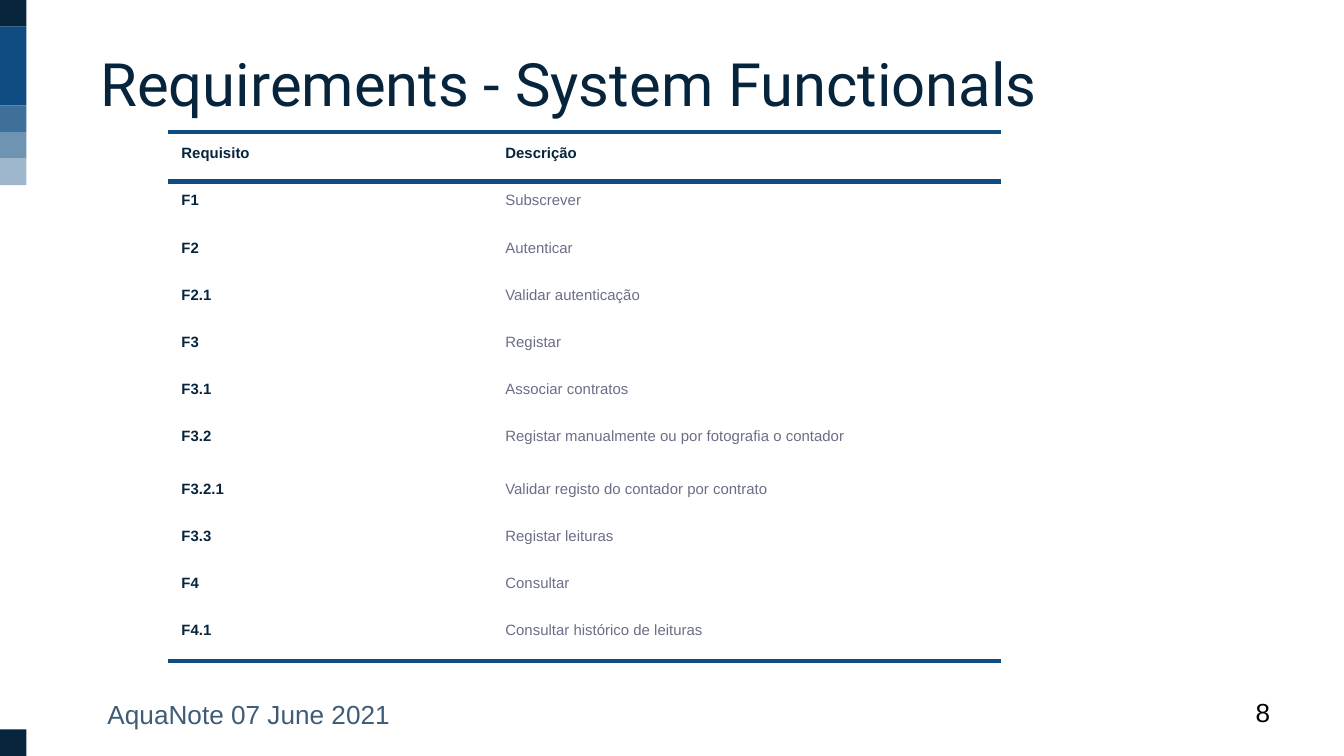
from lxml import etree
from pptx import Presentation
from pptx import util as u
from pptx.dml.color import RGBColor
from pptx.enum import shapes, text
from pptx.oxml.ns import qn

WIDTH = u.Inches(10)
HEIGHT = WIDTH * 9 // 16
UNIT = HEIGHT * 0.035  # side of a square in the left band

NAVY = RGBColor(0x07, 0x24, 0x3D)
BLUE = RGBColor(0x0F, 0x4C, 0x81)
STEEL = RGBColor(0x3F, 0x70, 0x9A)
MIST = RGBColor(0x6F, 0x94, 0xB3)
PALE = RGBColor(0x9F, 0xB7, 0xCD)
SLATE = RGBColor(0x3E, 0x5C, 0x78)
GREY = RGBColor(0x6A, 0x6E, 0x85)
BLACK = RGBColor(0, 0, 0)

# Colour, first row and row count in the left band
BAND = [(BLUE, 1, 3), (STEEL, 4, 1), (MIST, 5, 1), (PALE, 6, 1), (NAVY, 0, 1)]

LEFT, TOP = u.Inches(1.25), u.Inches(0.98)
COLS = [u.Inches(2.41), u.Inches(3.79)]
HIGH, TALL = u.Inches(3.9), u.Inches(0.39)
TALL_ROW = 6
RULES = [4.92, 1.35, 0.98]

ITEMS = [
    ("Requisito", "Descrição"),
    ("F1", "Subscrever"),
    ("F2", "Autenticar"),
    ("F2.1", "Validar autenticação"),
    ("F3", "Registar"),
    ("F3.1", "Associar contratos"),
    ("F3.2", "Registar manualmente ou por fotografia o contador"),
    ("F3.2.1", "Validar registo do contador por contrato"),
    ("F3.3", "Registar leituras"),
    ("F4", "Consultar"),
    ("F4.1", "Consultar histórico de leituras"),
]


def write(frame, words, size=14, color=BLACK, font="Arial", bold=False,
          align=text.PP_ALIGN.LEFT):
    para = frame.paragraphs[0]
    para.alignment = align
    run = para.add_run()
    run.text = words
    run.font.name = font
    run.font.size = u.Pt(size)
    run.font.bold = bold
    run.font.color.rgb = color


def pad(part, inset):
    """Set the same margin on all sides of a text frame or cell."""
    part.margin_left = part.margin_right = u.Inches(inset)
    part.margin_top = part.margin_bottom = u.Inches(inset)


def add_text(slide, box, words, inset=0.05, anchor=text.MSO_ANCHOR.TOP, **form):
    frame = slide.shapes.add_textbox(*map(u.Inches, box)).text_frame
    frame.word_wrap = True
    frame.vertical_anchor = anchor
    pad(frame, inset)
    write(frame, words, **form)


def add_block(slide, color, top, rows=1):
    block = slide.shapes.add_shape(shapes.MSO_SHAPE.RECTANGLE, 0, round(top),
                                   round(UNIT), round(rows * UNIT))
    block.shadow.inherit = False
    block.fill.solid()
    block.fill.fore_color.rgb = color
    block.line.fill.background()


def add_rule(slide, y):
    rule = slide.shapes.add_connector(shapes.MSO_CONNECTOR.STRAIGHT, LEFT,
                                      u.Inches(y), LEFT + sum(COLS), u.Inches(y))
    rule.line.color.rgb = BLUE
    rule.line.width = u.Pt(2.25)
    etree.SubElement(rule._element.spPr, qn("a:effectLst"))


def add_grid(slide):
    short = (HIGH - TALL) // (len(ITEMS) - 1)
    grid = slide.shapes.add_table(len(ITEMS), len(COLS), LEFT, TOP,
                                  sum(COLS), HIGH).table
    grid.first_row = grid.horz_banding = False
    for col, wide in zip(grid.columns, COLS):
        col.width = wide
    for r, item in enumerate(ITEMS):
        grid.rows[r].height = TALL if r == TALL_ROW else short
        for c, words in enumerate(item):
            cell = grid.cell(r, c)
            cell.fill.background()
            pad(cell, 0.1)
            head = r == 0 or c == 0
            write(cell.text_frame, words, size=8, bold=head,
                  color=NAVY if head else GREY)


def main():
    deck = Presentation()
    deck.slide_width, deck.slide_height = WIDTH, HEIGHT
    slide = deck.slides.add_slide(deck.slide_layouts[6])

    add_text(slide, (0.75, 5.15, 2.47, 0.34), "AquaNote 07 June 2021", color=SLATE)
    add_text(slide, (0.65, 0.25, 8.36, 0.69), "Requirements - System Functionals",
             inset=0.1, size=32, font="Roboto", color=NAVY)
    for color, row, count in BAND:
        add_block(slide, color, row * UNIT, count)
    add_block(slide, NAVY, HEIGHT - UNIT)
    add_grid(slide)
    for y in RULES:
        add_rule(slide, y)
    add_text(slide, (9.03, 5.13, 0.47, 0.34), "8",
             anchor=text.MSO_ANCHOR.MIDDLE, align=text.PP_ALIGN.RIGHT)
    deck.save("out.pptx")


if __name__ == "__main__":
    main()
